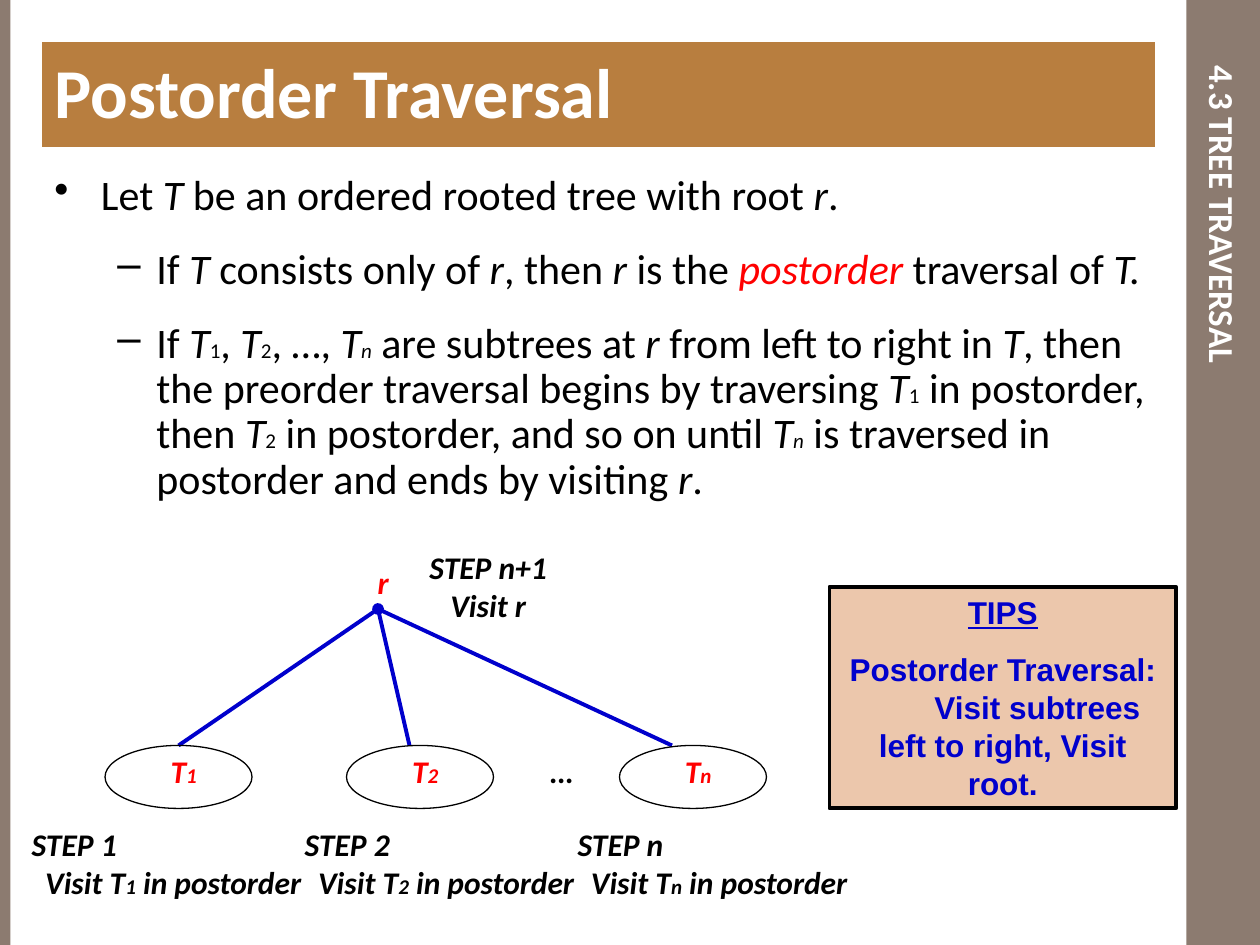
from dataclasses import dataclass

from lxml import etree
from pptx import Presentation
from pptx.dml.color import RGBColor
from pptx.enum.shapes import MSO_CONNECTOR, MSO_SHAPE
from pptx.enum.text import MSO_ANCHOR, PP_ALIGN
from pptx.oxml.ns import qn
from pptx.util import Inches, Pt

RECT, OVAL = MSO_SHAPE.RECTANGLE, MSO_SHAPE.OVAL
LINE = MSO_CONNECTOR.STRAIGHT
TOP, MID = MSO_ANCHOR.TOP, MSO_ANCHOR.MIDDLE
LEFT, CENTER = PP_ALIGN.LEFT, PP_ALIGN.CENTER


@dataclass(frozen=True)
class Theme:
    font: str = "Calibri"
    tips: str = "Arial"
    black: str = "000000"
    white: str = "FFFFFF"
    red: str = "FF0000"
    blue: str = "0000CC"
    side: str = "8C7B70"
    band: str = "B87E3F"
    peach: str = "ECC7AC"
    title: int = 40
    body: int = 24
    head: int = 20
    label: int = 18
    sub: int = 12


T = Theme()
# A piece of text between bars may open with one of these marks.
MARKS = {
    "*": {"italic": True},
    "~": {"size": T.sub},
    "^": {"size": T.sub, "italic": True},
    "!": {"italic": True, "color": T.red},
}


def grid(*cells):
    """Turn columns and rows of a 120 by 90 grid into lengths."""
    return [Inches(cell / 12) for cell in cells]


def style(font, name=T.font, size=T.label, color=T.black, **flags):
    font.name, font.size = name, Pt(size)
    font.color.rgb = RGBColor.from_string(color)
    for flag, value in flags.items():
        setattr(font, flag, value)


def write(frame, text, align=LEFT, before=0, lines=None, left=0, hang=0,
          bullet=None, **look):
    """Add one paragraph of marked text to a frame."""
    first = frame.paragraphs[0]
    para = frame.add_paragraph() if first.runs else first
    props = para._p.get_or_add_pPr()
    props.set("marL", str(Inches(left)))
    props.set("indent", str(Inches(-hang)))
    if bullet:
        etree.SubElement(props, qn("a:buChar")).set("char", bullet)
    para.alignment, para.space_before = align, Pt(before)
    if lines:
        para.line_spacing = lines
    for piece in text.split("|"):
        mark = MARKS.get(piece[0], {})
        run = para.add_run()
        run.text = piece[1:] if mark else piece
        style(run.font, **{**look, **mark})


def add_text(slide, *box):
    frame = slide.shapes.add_textbox(*grid(*box)).text_frame
    frame.word_wrap = True
    return frame


def add_shape(slide, kind, box, fill=None, line=None, width=0.75):
    shape = slide.shapes.add_shape(kind, *grid(*box))
    shape.shadow.inherit = False
    if fill:
        shape.fill.solid()
        shape.fill.fore_color.rgb = RGBColor.from_string(fill)
    else:
        shape.fill.background()
    if line:
        shape.line.color.rgb = RGBColor.from_string(line)
        shape.line.width = Pt(width)
    else:
        shape.line.fill.background()
    frame = shape.text_frame
    frame.word_wrap, frame.vertical_anchor = True, TOP
    return frame


def add_branch(slide, start, end, dot=False):
    branch = slide.shapes.add_connector(LINE, *grid(*start, *end))
    branch.line.color.rgb = RGBColor.from_string(T.blue)
    branch.line.width = Pt(2.25)
    if dot:
        line = branch.line._get_or_add_ln()
        etree.SubElement(line, qn("a:tailEnd")).set("type", "oval")
    etree.SubElement(branch._element.spPr, qn("a:effectLst"))


def add_side(slide, x, y, w, h):
    add_shape(slide, RECT, (x, y, w, h), T.side)
    frame = add_text(slide, x, y + 5, w, h - 13)
    frame.vertical_anchor = MID
    frame.margin_left = frame.margin_right = Inches(0.05)
    frame.margin_top = frame.margin_bottom = Inches(0.1)
    frame._txBody.bodyPr.set("vert", "eaVert")
    write(frame, "4.3 TREE TRAVERSAL", CENTER, size=T.head,
          color=T.white, bold=True)


def add_title(slide, *box):
    frame = add_shape(slide, RECT, box, T.band)
    write(frame, "Postorder Traversal", size=T.title, color=T.white, bold=True)


def add_body(slide, *box):
    frame = add_text(slide, *box)
    look = {"lines": 0.9, "size": T.body}
    write(frame, "Let |*T| be an ordered rooted tree with root |*r|.",
          left=0.37, hang=0.37, bullet="•", **look)
    points = (
        "If |*T| consists only of |*r|, then |*r| is the |!postorder"
        "| traversal of |*T.",
        "If |*T|~1|, |*T|~2|, …, |*T|^n| are subtrees at |*r |from left to "
        "right in |*T|, then the preorder traversal begins by traversing "
        "|*T|~1| in postorder, then |*T|~2| in postorder, and so on until "
        "|*T|^n| is traversed in postorder and ends by visiting |*r|.",
    )
    for point in points:
        write(frame, point, before=16.3, left=0.81, hang=0.31, bullet="–", **look)


def add_tree(slide, x, y):
    """Draw the root, its subtrees and the steps from a top left corner."""
    look = {"bold": True, "italic": True}
    root = (x + 35, y + 7)
    leaf, step = y + 20, y + 27
    # name, left of the oval, where the branch meets it
    trees = (("1", 9, 7), ("2", 32, 6), ("n", 58, 5))
    for i, (name, left, meet) in enumerate(trees):
        add_branch(slide, (x + left + meet, leaf), root, dot=i == 0)
        add_shape(slide, OVAL, (x + left, leaf, 14, 6), line=T.black)
        label = add_text(slide, x + left + 1, leaf, 13, 4.8)
        write(label, f"T|~{name}", CENTER, color=T.red, **look)
        note = add_text(slide, x + 26 * i, step, 31, 8.4)
        write(note, f"STEP {name}", left=0.07, **look)
        write(note, f"Visit T|~{name}| in postorder", CENTER, **look)
    write(add_text(slide, x + 29, y + 2, 13, 4.8), "r", CENTER,
          color=T.red, **look)
    write(add_text(slide, x + 46, leaf, 13, 4.8), "…", CENTER, **look)
    last = add_text(slide, x + 37, y + 0.6, 17, 8.4)
    for line in ("STEP n+1", "Visit r"):
        write(last, line, CENTER, **look)


def add_tips(slide, *box):
    frame = add_shape(slide, RECT, box, T.peach, T.black, 2.25)
    look = {"align": CENTER, "name": T.tips, "color": T.blue, "bold": True}
    write(frame, "TIPS", underline=True, **look)
    write(frame, "Postorder Traversal:", before=11.2, **look)
    write(frame, "Visit subtrees", left=0.55, **look)
    write(frame, "left to right, Visit root.", **look)


def main():
    deck = Presentation()
    deck.slide_width, deck.slide_height = grid(120, 90)
    slide = deck.slides.add_slide(deck.slide_layouts[6])
    add_shape(slide, RECT, (0, 0, 1, 90), T.side)
    add_side(slide, 113, 0, 7, 90)
    add_body(slide, 4, 16, 108, 35)
    add_title(slide, 4, 4, 106, 10)
    add_tree(slide, 1, 51)
    add_tips(slide, 79, 55.9, 33, 21.1)
    deck.save("out.pptx")


if __name__ == "__main__":
    main()
